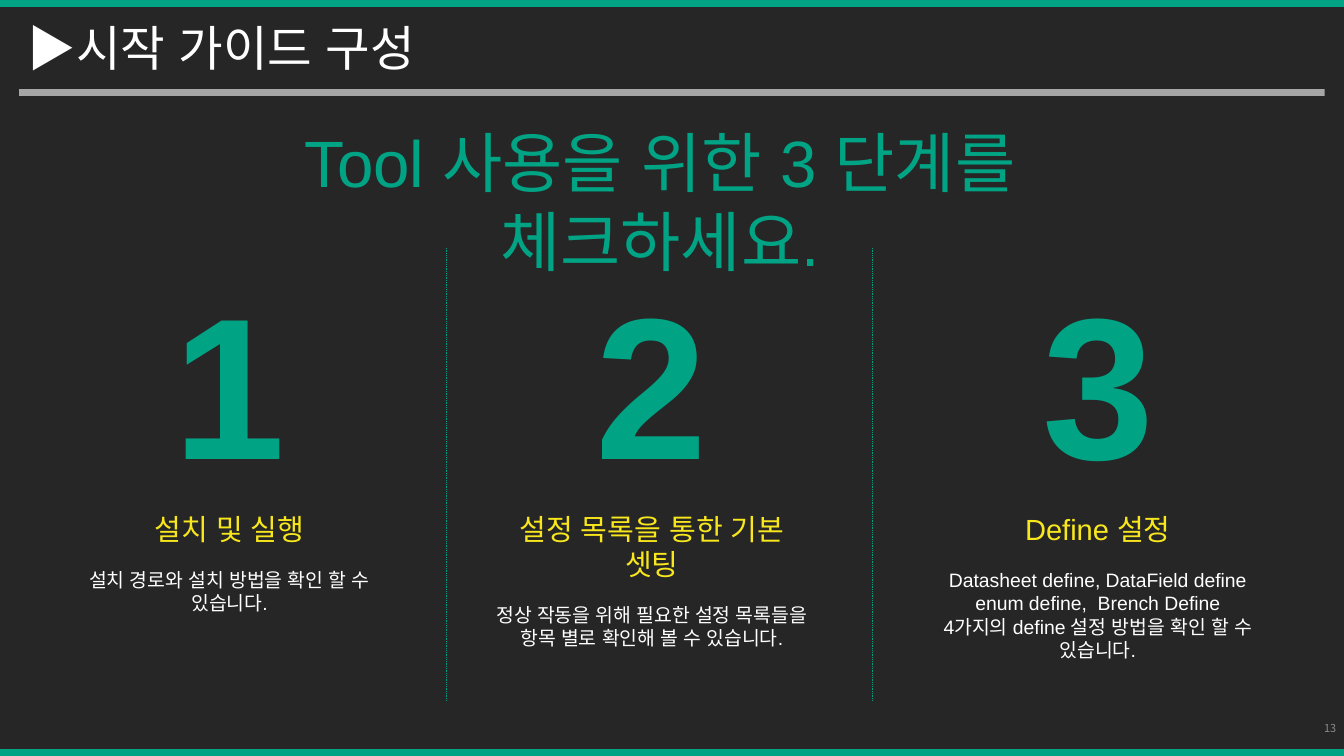
from dataclasses import dataclass

from lxml.etree import SubElement
from pptx import Presentation
from pptx.dml.color import RGBColor
from pptx.enum.dml import MSO_LINE
from pptx.enum.shapes import MSO_CONNECTOR, MSO_SHAPE
from pptx.enum.text import MSO_ANCHOR, MSO_AUTO_SIZE, PP_ALIGN
from pptx.oxml.ns import qn
from pptx.slide import Slide
from pptx.text.text import TextFrame
from pptx.util import Pt

PX = 9144  # EMU per px, 100 px to the inch
WIDTH, HEIGHT = 1540, 866
BAR = 8
DARK = RGBColor(0x26, 0x26, 0x26)
GREEN = RGBColor(0x00, 0xA4, 0x85)
GRAY = RGBColor(0xA6, 0xA6, 0xA6)
DIM = RGBColor(0x8C, 0x8C, 0x8C)
YELLOW = RGBColor(0xF8, 0xE7, 0x1D)
WHITE = RGBColor(0xFF, 0xFF, 0xFF)


@dataclass(frozen=True)
class Box:
    left: int
    top: int
    width: int
    height: int

    def emu(self) -> list[int]:
        return [n * PX for n in (self.left, self.top, self.width, self.height)]


@dataclass(frozen=True)
class Style:
    size: int
    color: RGBColor
    align: PP_ALIGN = PP_ALIGN.CENTER
    bold: bool = False
    font: str = "Arial"
    before: int = 0


@dataclass(frozen=True)
class Step:
    digit: str
    digit_x: int
    text: Box
    title: str
    lines: tuple[str, ...]


TITLE = Style(40, WHITE, PP_ALIGN.LEFT)
HEADING = Style(54, GREEN)
DIGIT = Style(166, GREEN, bold=True)
NAME = Style(24, YELLOW)
FIRST = Style(16, WHITE, before=18)
BODY = Style(16, WHITE)
NUMBER = Style(9, DIM, PP_ALIGN.RIGHT, font="Noto Sans CJK KR")

BARS = (
    (Box(0, 0, WIDTH, BAR), GREEN),
    (Box(0, HEIGHT - BAR, WIDTH, BAR), GREEN),
    (Box(22, 102, 1496, BAR), GRAY),
)
STEPS = (
    Step("1", 186, Box(69, 581, 388, 104), "설치 및 실행",
         ("설치 경로와 설치 방법을 확인 할 수 있습니다.",)),
    Step("2", 670, Box(550, 581, 394, 131), "설정 목록을 통한 기본 셋팅",
         ("정상 작동을 위해 필요한 설정 목록들을",
          "항목 별로 확인해 볼 수 있습니다.")),
    Step("3", 1182, Box(1061, 581, 394, 158), "Define 설정",
         ("Datasheet define, DataField define",
          "enum define,  Brench Define",
          "4가지의 define 설정 방법을 확인 할 수 있습니다.")),
)
RULES = (512, 1000)


def add_bar(slide: Slide, box: Box, color: RGBColor) -> None:
    bar = slide.shapes.add_shape(MSO_SHAPE.RECTANGLE, *box.emu())
    bar.shadow.inherit = False
    bar.fill.solid()
    bar.fill.fore_color.rgb = color
    bar.line.fill.background()


def add_text(slide: Slide, box: Box, *parts: tuple[str, Style]) -> TextFrame:
    """Add a text box with one paragraph for each pair of text and style."""
    frame = slide.shapes.add_textbox(*box.emu()).text_frame
    frame.word_wrap = True
    frame.auto_size = MSO_AUTO_SIZE.SHAPE_TO_FIT_TEXT
    frame.text = "\n".join(text for text, _ in parts)
    for para, (_, style) in zip(frame.paragraphs, parts):
        para.alignment = style.align
        para.space_before = Pt(style.before)
        for run in para.runs:
            run.font.size = Pt(style.size)
            run.font.bold = style.bold
            run.font.color.rgb = style.color
            run.font.name = style.font
            SubElement(run.font._element, qn("a:ea"), typeface=style.font)
    return frame


def add_rule(slide: Slide, x: int) -> None:
    rule = slide.shapes.add_connector(
        MSO_CONNECTOR.STRAIGHT, x * PX, 284 * PX, x * PX, 803 * PX)
    rule.line.color.rgb = GREEN
    rule.line.width = Pt(0.75)
    rule.line.dash_style = MSO_LINE.ROUND_DOT
    SubElement(rule._element.spPr, qn("a:effectLst"))


def add_step(slide: Slide, step: Step) -> None:
    first, *rest = step.lines
    add_text(slide, step.text, (step.title, NAME), (first, FIRST),
             *((line, BODY) for line in rest))
    add_text(slide, Box(step.digit_x, 291, 154, 289), (step.digit, DIGIT))


def main() -> None:
    deck = Presentation()
    deck.slide_width = WIDTH * PX
    deck.slide_height = HEIGHT * PX
    slide = deck.slides.add_slide(deck.slide_layouts[6])
    slide.background.fill.solid()
    slide.background.fill.fore_color.rgb = DARK

    for box, color in BARS:
        add_bar(slide, box, color)
    number = add_text(slide, Box(1495, 811, 46, 46), ("13", NUMBER))
    number.auto_size = MSO_AUTO_SIZE.NONE
    number.vertical_anchor = MSO_ANCHOR.MIDDLE
    add_text(slide, Box(22, 16, 528, 77), ("▶시작 가이드 구성", TITLE))
    for step in STEPS:
        add_step(slide, step)
    for x in RULES:
        add_rule(slide, x)
    add_text(slide, Box(219, 135, 1074, 101),
             ("Tool 사용을 위한 3 단계를 체크하세요.", HEADING))
    deck.save("out.pptx")


if __name__ == "__main__":
    main()
